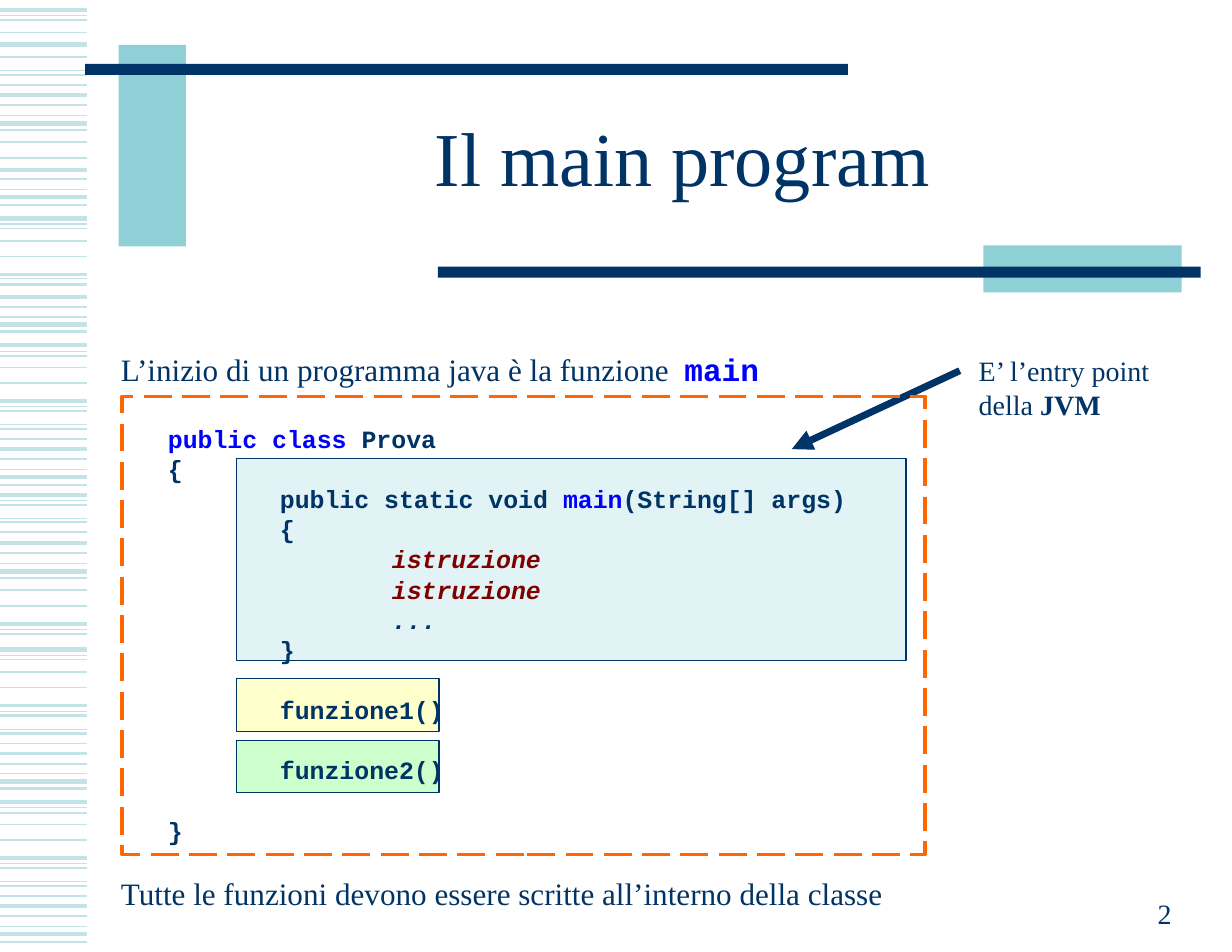
"""Build the slide on the main function of a Java program."""
from pptx import Presentation
from pptx.dml.color import RGBColor
from pptx.enum.dml import MSO_LINE
from pptx.enum.shapes import MSO_CONNECTOR, MSO_SHAPE
from pptx.enum.text import MSO_ANCHOR, PP_ALIGN
from pptx.oxml.ns import qn
from pptx.util import Inches, Pt
from lxml.etree import SubElement

HUES = {
    "navy": "003366", "teal": "8FD0D7", "stripe": "C3E3E7", "blue": "0000FF",
    "maroon": "800000", "orange": "FF6600", "ice": "E1F3F5",
    "yellow": "FFFFCC", "green": "CCFFCC",
}
SERIF, MONO = "Times New Roman", "Courier New"
PITCH = 19.35
STRIPES = {
    0.75: [0.14, 0.63, 1.03, 1.69, 2, 2.49, 2.83, 3.14, 3.63, 3.79, 4.19, 4.47, 4.63,
           5.03, 5.62, 5.85, 6.35, 6.51, 6.91, 7.21, 7.71, 7.87, 8.27],
    1: [0.18, 0.29, 0.76, 1.27, 1.41, 2.04, 2.15, 2.29, 3.18, 3.28, 3.42, 3.92, 4.75,
        5.27, 5.41, 5.89, 6, 6.14, 6.64, 7.26, 7.36, 7.5, 8],
    1.5: [0.51, 0.67, 0.94, 1.16, 1.6, 1.83, 2.54, 2.74, 2.96, 3.67, 3.83, 4.1, 4.33,
          4.51, 4.66, 4.94, 5.16, 5.66, 6.39, 6.55, 6.82, 7.04, 7.75, 7.91, 8.18, 8.41],
    2.25: [0.85, 1.52, 2.45, 2.65, 3.58, 4.01, 4.42, 4.85, 5.57, 6.3, 6.73, 7.66, 8.09],
    3: [0.09, 0.4, 1.1, 1.76, 1.95, 2.9, 3.08, 4.26, 5.1, 5.8, 6.98, 7.16, 8.34],
}
CODE = [
    (0, 23.2, [("public class", {"hue": "blue"}), (" Prova", {})]),
    (0, 0, [("{", {})]),
    (1, 0, [("public static void ", {}), ("main", {"hue": "blue"}),
            ("(String[] args)", {})]),
    (1, 0, [("{", {})]),
    (2, 0, [("istruzione", {"hue": "maroon", "slant": True})]),
    (2, 0, [("istruzione", {"hue": "maroon", "slant": True})]),
    (2, 0, [("...", {"slant": True})]),
    (1, 0, [("}", {})]),
    (1, PITCH, [("funzione1()", {})]),
    (1, PITCH, [("funzione2()", {})]),
    (0, PITCH, [("}", {})]),
]


def tint(name):
    """Return the named colour."""
    return RGBColor.from_string(HUES[name])


def rule(slide, start, end, hue, weight, arrow=False):
    """Draw a straight line, with an arrowhead at its end if asked."""
    line = slide.shapes.add_connector(
        MSO_CONNECTOR.STRAIGHT, *map(Inches, start), *map(Inches, end))
    line.line.color.rgb = tint(hue)
    line.line.width = Pt(weight)
    props = line._element.spPr
    if arrow:
        SubElement(props.find(qn("a:ln")), qn("a:tailEnd"), type="triangle")
    SubElement(props, qn("a:effectLst"))


def block(slide, area, fill=None, edge=None, weight=0.75, dash=None):
    """Draw a rectangle."""
    rect = slide.shapes.add_shape(MSO_SHAPE.RECTANGLE, *map(Inches, area))
    rect.shadow.inherit = False
    if fill:
        rect.fill.solid()
        rect.fill.fore_color.rgb = tint(fill)
    else:
        rect.fill.background()
    if edge:
        rect.line.color.rgb = tint(edge)
        rect.line.width = Pt(weight)
        rect.line.dash_style = dash
    else:
        rect.line.fill.background()


def frame(slide, area, inset, anchor=MSO_ANCHOR.TOP):
    """Add a wrapping text box with left, top, right and bottom insets."""
    body = slide.shapes.add_textbox(*map(Inches, area)).text_frame
    body.word_wrap = True
    body.vertical_anchor = anchor
    (body.margin_left, body.margin_top,
     body.margin_right, body.margin_bottom) = map(Inches, inset)
    return body


def say(para, text, size=18, font=SERIF, hue="navy", bold=False, slant=False):
    """Append a formatted run to a paragraph."""
    run = para.add_run()
    run.text = text
    run.font.size = Pt(size)
    run.font.name = font
    run.font.color.rgb = tint(hue)
    run.font.bold = bold
    run.font.italic = slant


def space(para, pitch, before=0, left=0):
    """Set line pitch, space before and left margin of a paragraph."""
    para.line_spacing = Pt(pitch)
    para.space_before = Pt(before)
    para._p.get_or_add_pPr().set("marL", str(Inches(left)))


def decor(slide):
    """Draw the side stripes and the title bars."""
    for weight, rows in STRIPES.items():
        for y in rows:
            rule(slide, (0, y), (0.78, y), "stripe", weight)
    block(slide, (1.06, 0.4, 0.6, 1.8), "teal")
    block(slide, (0.76, 0.57, 6.81, 0.1), "navy")
    block(slide, (8.78, 2.19, 1.77, 0.42), "teal")
    block(slide, (3.91, 2.38, 6.81, 0.1), "navy")


def panels(slide):
    """Draw the boxes behind the functions."""
    block(slide, (2.11, 6.61, 1.81, 0.47), "green", "navy")
    block(slide, (2.11, 6.06, 1.81, 0.47), "yellow", "navy")
    block(slide, (2.11, 4.09, 5.98, 1.81), "ice", "navy")


def label(slide):
    """Write the title and the page number."""
    inset = (0.11, 0.06, 0.11, 0.06)
    para = frame(slide, (1.65, 0.75, 8.88, 1.42), inset, MSO_ANCHOR.MIDDLE).paragraphs[0]
    para.alignment = PP_ALIGN.CENTER
    para.line_spacing = 0.85
    say(para, "Il main program", size=49)
    para = frame(slide, (7.93, 7.79, 2.64, 0.57), inset, MSO_ANCHOR.BOTTOM).paragraphs[0]
    para.alignment = PP_ALIGN.RIGHT
    say(para, "2")


def listing(slide):
    """Write the intro, the code and the closing line."""
    body = frame(slide, (0.97, 2.74, 9.57, 5.44), (0.11, 0.44, 0.11, 0.06))
    para = body.paragraphs[0]
    space(para, 20)
    say(para, "L’inizio di un programma java è la funzione", size=20)
    say(para, " ", size=16, font=MONO)
    say(para, "main", size=20, font=MONO, hue="blue", bold=True)
    for level, before, runs in CODE:
        para = body.add_paragraph()
        space(para, PITCH, before, 0.42 + level)
        for text, style in runs:
            say(para, text, size=16, font=MONO, bold=True, **style)
    para = body.add_paragraph()
    space(para, 20, 22.6)
    say(para, "Tutte le funzioni devono essere scritte all’interno della classe", size=20)


def note(slide):
    """Write the remark on the entry point and point it at the code."""
    body = frame(slide, (8.64, 2.91, 1.69, 1.1), (0.1, 0.05, 0, 0.05), MSO_ANCHOR.MIDDLE)
    say(body.paragraphs[0], "E’ l’entry point")
    para = body.add_paragraph()
    say(para, "della ")
    say(para, "JVM", bold=True)
    rule(slide, (8.57, 3.31), (7.07, 4.01), "navy", 4.5, arrow=True)


def main():
    """Build and save the slide."""
    deck = Presentation()
    deck.slide_width, deck.slide_height = Inches(11), Inches(8.5)
    slide = deck.slides.add_slide(deck.slide_layouts[6])
    decor(slide)
    panels(slide)
    label(slide)
    listing(slide)
    note(slide)
    block(slide, (1.09, 3.54, 7.17, 4.09), None, "orange", 2.25, MSO_LINE.LONG_DASH)
    deck.save("out.pptx")


if __name__ == "__main__":
    main()
